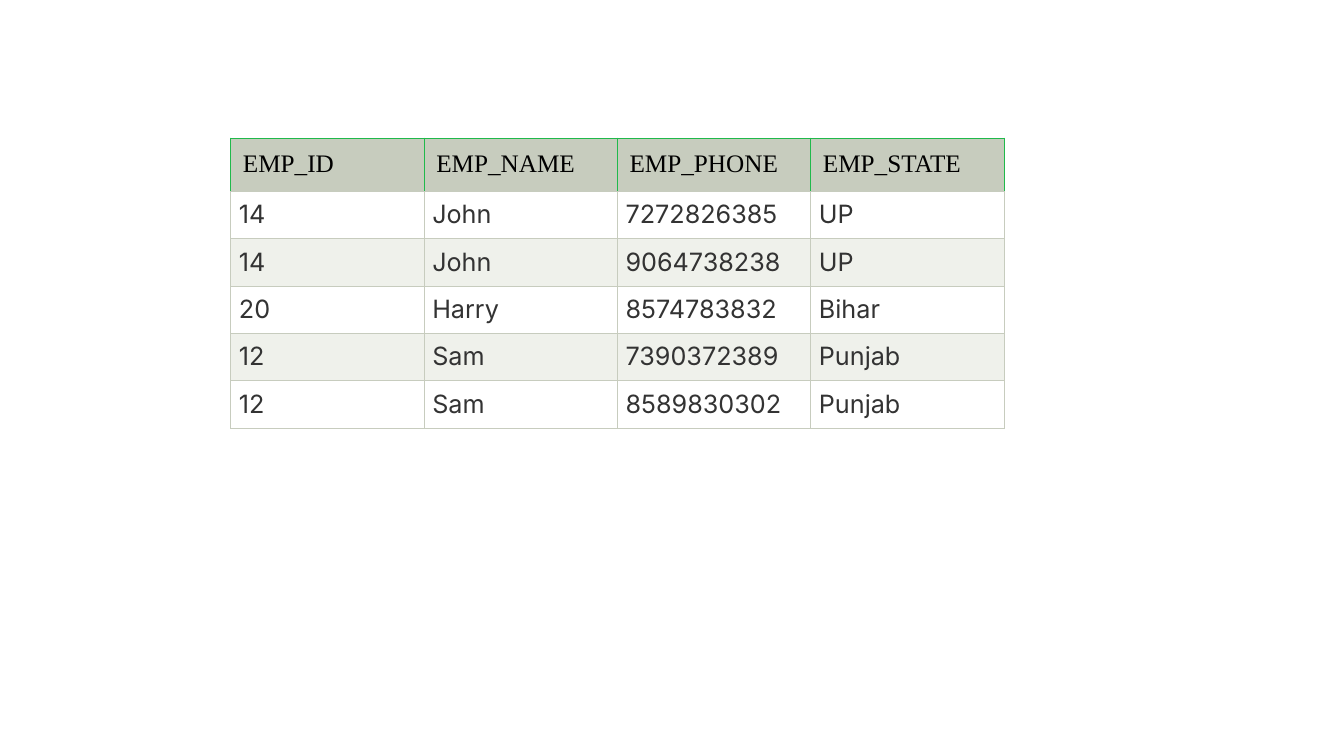
"""Build a slide with a table of employee phone numbers and states."""
from lxml.etree import SubElement
from pptx import Presentation
from pptx.dml.color import RGBColor
from pptx.enum.text import PP_ALIGN as Align
from pptx.oxml.ns import qn
from pptx.util import Inches, Pt

SAGE = RGBColor(0xC7, 0xCC, 0xBE)
PALE_SAGE = RGBColor(0xEF, 0xF1, 0xEB)
GREEN = RGBColor(0x20, 0xB9, 0x4B)
WHITE = RGBColor(0xFF, 0xFF, 0xFF)
BLACK = RGBColor(0x00, 0x00, 0x00)
CHARCOAL = RGBColor(0x33, 0x33, 0x33)

EMPLOYEES = [
    ("EMP_ID", "EMP_NAME", "EMP_PHONE", "EMP_STATE"),
    ("14", "John", "7272826385", "UP"),
    ("14", "John", "9064738238", "UP"),
    ("20", "Harry", "8574783832", "Bihar"),
    ("12", "Sam", "7390372389", "Punjab"),
    ("12", "Sam", "8589830302", "Punjab"),
]


def set_borders(cell, colors):
    properties = cell._tc.get_or_add_tcPr()
    for side, color in zip("LRTB", colors):
        line = SubElement(properties, qn(f"a:ln{side}"), w=str(Pt(0.75)))
        fill = SubElement(line, qn("a:solidFill"))
        SubElement(fill, qn("a:srgbClr"), val=str(color))


def write_cell(cell, text, *, font, color, fill, margin, align, borders):
    set_borders(cell, borders)
    cell.fill.solid()
    cell.fill.fore_color.rgb = fill
    cell.margin_left = cell.margin_right = Inches(margin)
    cell.margin_top = cell.margin_bottom = Inches(margin)
    para = cell.text_frame.paragraphs[0]
    para.alignment = align
    span = para.add_run()
    span.text = text
    span.font.name = font
    span.font.size = Pt(18)
    span.font.color.rgb = color


deck = Presentation()
deck.slide_width = Inches(13.33)
deck.slide_height = Inches(7.5)
page = deck.slides.add_slide(deck.slide_layouts[6])

frame = page.shapes.add_table(
    len(EMPLOYEES), len(EMPLOYEES[0]),
    Inches(2.29), Inches(1.37), Inches(7.67), Inches(2.88))
table = frame.table
table.first_row = True
table.horz_banding = False

header_format = dict(font="Times New Roman", color=BLACK, margin=0.12,
                     align=Align.LEFT, borders=[GREEN, GREEN, GREEN, SAGE])
body_format = dict(font="Inter", color=CHARCOAL, margin=0.08,
                   align=Align.JUSTIFY, borders=[SAGE] * 4)

for row_index, employee in enumerate(EMPLOYEES):
    is_header = row_index == 0
    table.rows[row_index].height = Inches(0.53 if is_header else 0.47)
    cell_format = header_format if is_header else body_format
    band = SAGE if is_header else WHITE if row_index % 2 else PALE_SAGE
    for column_index, text in enumerate(employee):
        write_cell(table.cell(row_index, column_index), text,
                   fill=band, **cell_format)

deck.save("out.pptx")
